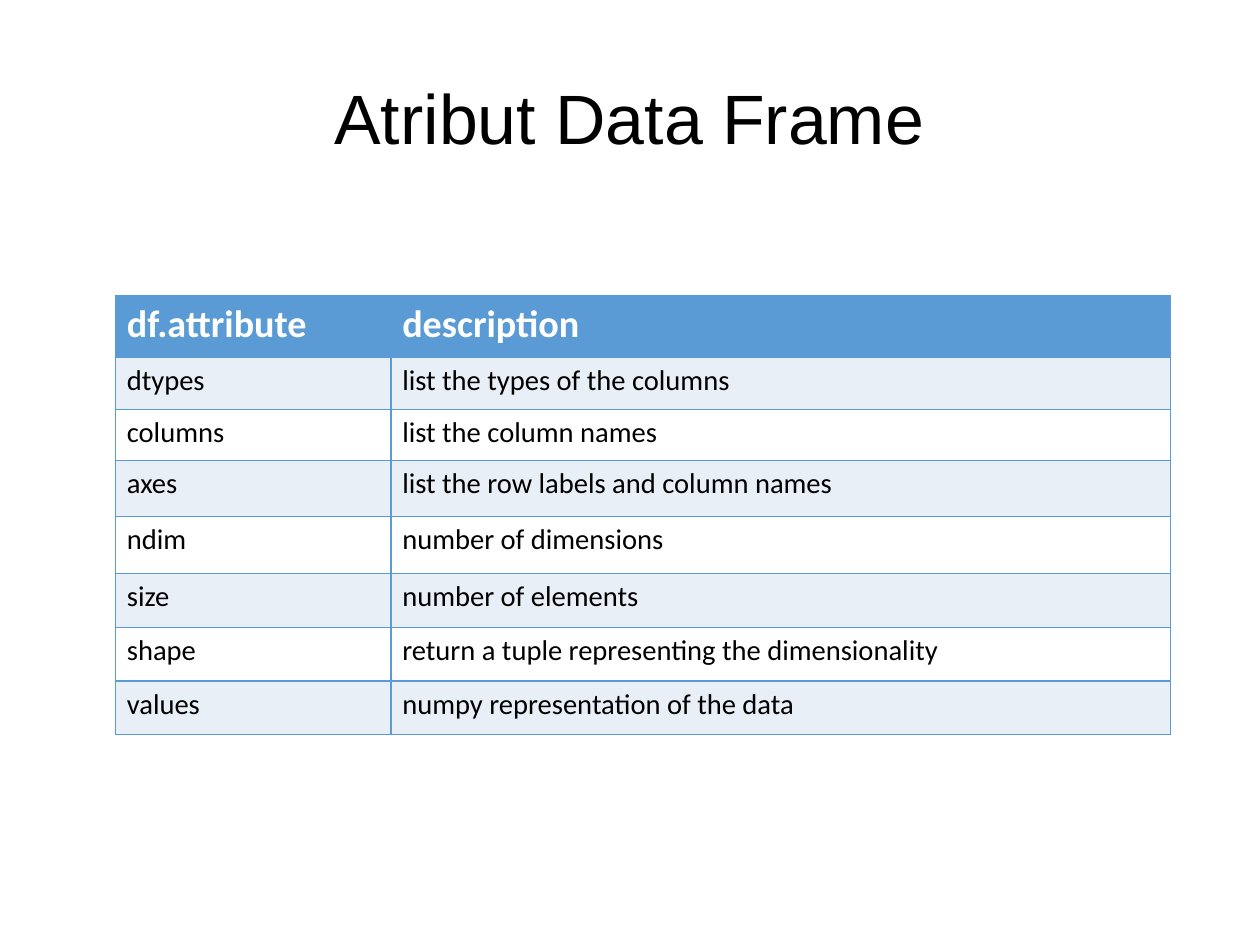
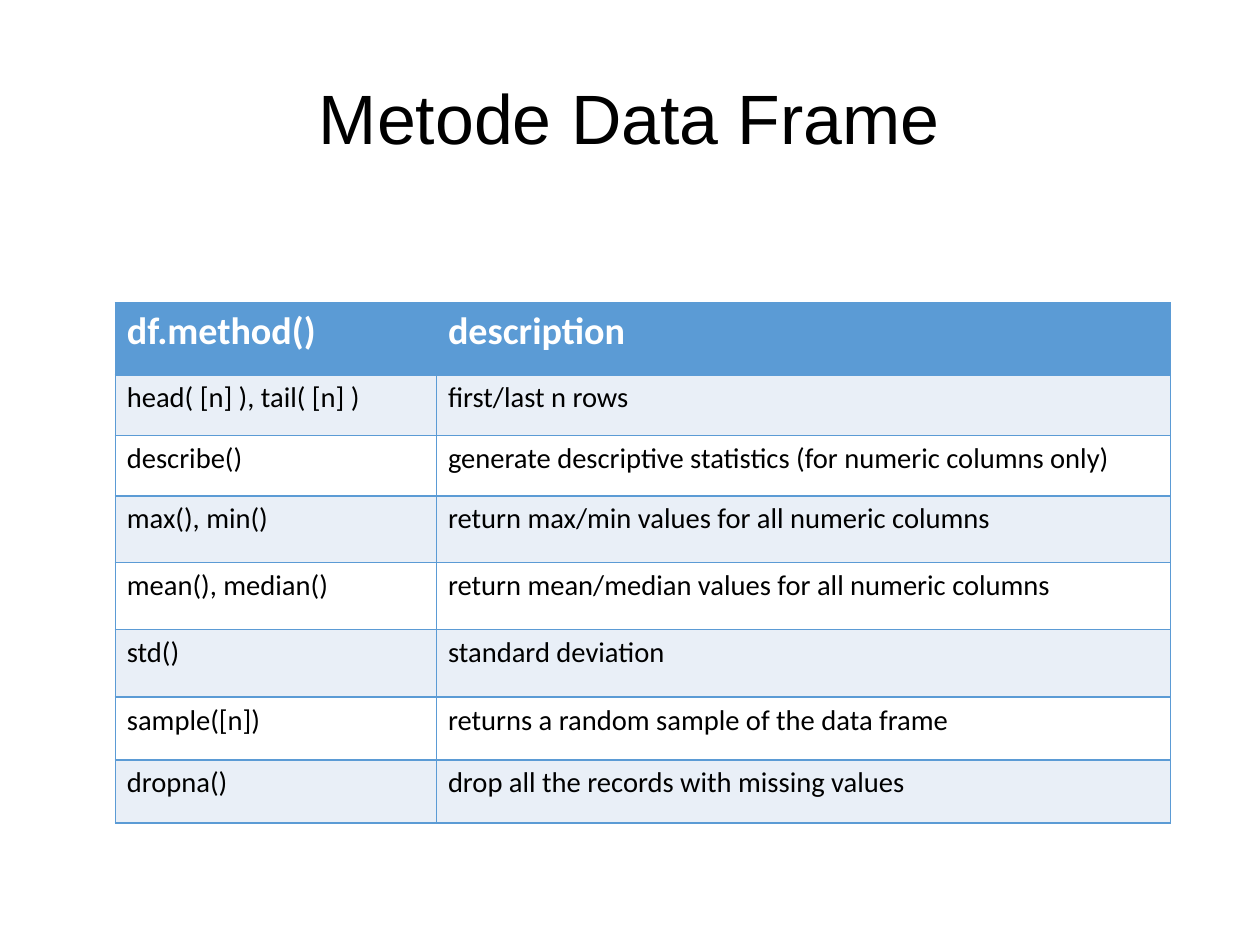
from lxml.etree import SubElement as Sub
from pptx import Presentation
from pptx.dml.color import RGBColor as RGB
from pptx.enum.text import MSO_ANCHOR as Anchor, MSO_AUTO_SIZE as Fit, PP_ALIGN as Align
from pptx.oxml.ns import qn
from pptx.util import Cm, Inches, Pt

COLORS = {"head": "5B9BD5", "band": "E9EFF7", "plain": "FFFFFF",
          "line": "5B9BD5", "text": "000000", "light": "FFFFFF"}
LEFT = 1.01
WIDTH = 9.23

SLIDES = [
    {"title": "Atribut Data Frame", "top": 2.59, "split": 2.41,
     "heights": [0.54, 0.45, 0.45, 0.49, 0.5, 0.47, 0.47, 0.47],
     "rows": [
         ("df.attribute", "description"),
         ("dtypes", "list the types of the columns"),
         ("columns", "list the column names"),
         ("axes", "list the row labels and column names"),
         ("ndim", "number of dimensions"),
         ("size", "number of elements"),
         ("shape", "return a tuple representing the dimensionality"),
         ("values", "numpy representation of the data")]},
    {"title": "Metode Data Frame", "top": 2.65, "split": 2.81,
     "heights": [0.63, 0.53, 0.53, 0.58, 0.59, 0.59, 0.55, 0.55],
     "rows": [
         ("df.method()", "description"),
         ("head( [n] ), tail( [n] )", "first/last n rows"),
         ("describe()", "generate descriptive statistics (for numeric columns only)"),
         ("max(), min()", "return max/min values for all numeric columns"),
         ("mean(), median()", "return mean/median values for all numeric columns"),
         ("std()", "standard deviation"),
         ("sample([n])", "returns a random sample of the data frame"),
         ("dropna()", "drop all the records with missing values")]},
]


def color(name):
    return RGB.from_string(COLORS[name])


def style(par, font, size, tone, bold=False):
    for run in par.runs:
        run.font.name = font
        run.font.size = Pt(size)
        run.font.bold = bold
        run.font.color.rgb = color(tone)


def set_title(slide, text):
    title = slide.shapes.title
    title.left, title.top = Inches(0.55), Inches(0.33)
    title.width, title.height = Inches(9.92), Inches(1.38)
    frame = title.text_frame
    frame.text = text
    frame.word_wrap = True
    frame.auto_size = Fit.NONE
    frame.vertical_anchor = Anchor.MIDDLE
    frame.margin_left = frame.margin_right = 0
    frame.margin_top = frame.margin_bottom = 0
    par = frame.paragraphs[0]
    par.alignment = Align.CENTER
    style(par, "Arial", 44, "text")


def add_border(cell):
    """Outline all four sides; must run before the cell is filled."""
    props = cell._tc.get_or_add_tcPr()
    for side in ("lnL", "lnR", "lnT", "lnB"):
        line = Sub(props, qn(f"a:{side}"), w=str(Pt(0.96)))
        fill = Sub(line, qn("a:solidFill"))
        Sub(fill, qn("a:srgbClr"), val=COLORS["line"])


def fill_cell(cell, text, row):
    add_border(cell)
    cell.fill.solid()
    if row == 0:
        tone = "head"
    else:
        tone = "band" if row % 2 else "plain"
    cell.fill.fore_color.rgb = color(tone)
    cell.text_frame.text = text
    par = cell.text_frame.paragraphs[0]
    if row == 0:
        style(par, "Calibri", 24, "light", True)
    else:
        style(par, "Calibri", 18, "text")


def add_grid(slide, rows, top, split, heights):
    """Add a two-column table whose first column is split inches wide."""
    table = slide.shapes.add_table(
        len(rows), 2, Inches(LEFT), Inches(top),
        Inches(WIDTH), Inches(sum(heights))).table
    for col, width in zip(table.columns, (split, WIDTH - split)):
        col.width = Inches(width)
    for row, (texts, height) in enumerate(zip(rows, heights)):
        table.rows[row].height = Inches(height)
        for col, text in enumerate(texts):
            fill_cell(table.cell(row, col), text, row)


def main():
    deck = Presentation()
    deck.slide_width, deck.slide_height = Cm(28), Cm(21)
    layout = deck.slide_layouts.get_by_name("Title Only")
    for data in SLIDES:
        slide = deck.slides.add_slide(layout)
        set_title(slide, data["title"])
        add_grid(slide, data["rows"], data["top"], data["split"], data["heights"])
    deck.save("out.pptx")


if __name__ == "__main__":
    main()
